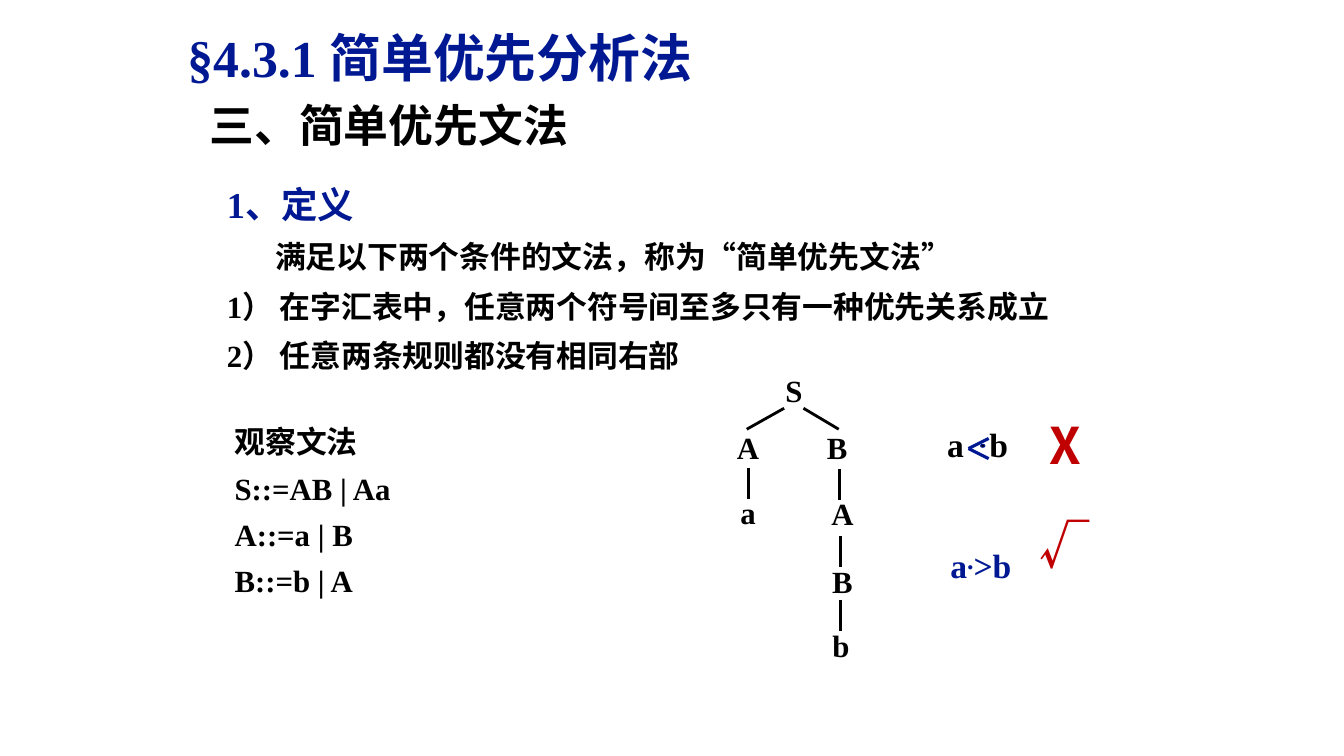
from pptx import Presentation
from pptx.dml.color import RGBColor as RGB
from pptx.enum.shapes import MSO_CONNECTOR as CONN, MSO_SHAPE as SHAPE
from pptx.enum.text import MSO_ANCHOR as ANCHOR, MSO_AUTO_SIZE as FIT, PP_ALIGN as ALIGN
from pptx.oxml.ns import qn
from pptx.util import Inches, Pt
from lxml.etree import SubElement

NAVY = RGB(0x01, 0x18, 0x93)
BLACK = RGB(0, 0, 0)
RED = RGB(0xC0, 0, 0)
SERIF, SANS = "Times New Roman", "Noto Sans CJK SC"
COLS, ROWS = 32, 18


class Slide:
    """Style and current slide; lengths are columns and rows of a 32 x 18 grid."""

    def __init__(self, prs):
        self.w, self.h = prs.slide_width / COLS, prs.slide_height / ROWS
        self.s = prs.slides.add_slide(prs.slide_layouts[1])
        self.shapes = self.s.shapes

    def box(self, x, y, w, h):
        return round(x * self.w), round(y * self.h), round(w * self.w), round(h * self.h)

    def fill_text(self, sp, paras, anchor=ANCHOR.TOP, wrap=True, **para_fmt):
        """Each paragraph is a pair: list of (text, font values), first-line indent."""
        tf = sp.text_frame
        for name, value in dict(word_wrap=wrap, auto_size=FIT.NONE, vertical_anchor=anchor).items():
            setattr(tf, name, value)
        for i, (runs, indent) in enumerate(paras):
            p = tf.paragraphs[0] if i == 0 else tf.add_paragraph()
            pPr = p._p.get_or_add_pPr()
            pPr.set("marL", "0")
            pPr.set("indent", str(Inches(indent)))
            SubElement(pPr, qn("a:buNone"))
            for name, value in dict(dict(space_before=Pt(0), alignment=ALIGN.LEFT), **para_fmt).items():
                setattr(p, name, value)
            for text, fmt in runs:
                self.run(p, text, **fmt)

    def run(self, p, text, raised=0, **fmt):
        r = p.add_run()
        r.text = text
        style = dict(name=SERIF, size=22, bold=True, color=BLACK)
        style.update(fmt)
        r.font.color.rgb = style.pop("color")
        style["size"] = Pt(style["size"])
        for name, value in style.items():
            setattr(r.font, name, value)
        rPr = r._r.get_or_add_rPr()
        SubElement(rPr, qn("a:ea")).set("typeface", SANS)
        if raised:
            rPr.set("baseline", str(raised * 1000))

    def placeholder(self, sp, at, paras, **fmt):
        sp.left, sp.top, sp.width, sp.height = self.box(*at)
        self.fill_text(sp, paras, **fmt)

    def text(self, at, paras, **fmt):
        self.fill_text(self.shapes.add_textbox(*self.box(*at)), paras, **fmt)

    def label(self, text, x, y, **fmt):
        """One short word centred on a grid point."""
        w, h = 1.3, 1.2
        self.text((x - w / 2, y - h / 2, w, h), [([(text, fmt)], 0)],
                  anchor=ANCHOR.MIDDLE, wrap=False, alignment=ALIGN.CENTER)

    def line(self, x1, y1, x2, y2, color=BLACK, width=2):
        x1, y1, x2, y2 = self.box(x1, y1, x2, y2)
        c = self.shapes.add_connector(CONN.STRAIGHT, x1, y1, x2, y2)
        c.line.color.rgb, c.line.width = color, Pt(width)
        SubElement(c._element.spPr, qn("a:effectLst"))

    def dot(self, x, y, w, h):
        sp = self.shapes.add_shape(SHAPE.OVAL, *self.box(x, y, w, h))
        sp.shadow.inherit = False
        sp.fill.solid()
        sp.fill.fore_color.rgb = BLACK
        sp.line.color.rgb, sp.line.width = NAVY, Pt(0.75)


def main():
    prs = Presentation()
    prs.slide_width, prs.slide_height = Inches(13.33), Inches(7.5)
    sl = Slide(prs)

    # Headings
    sl.placeholder(sl.shapes.title, (4.22, 0.17, 23.2, 2.06),
                   [([("§4.3.1 简单优先分析法", dict(size=37, color=NAVY))], 0)],
                   anchor=ANCHOR.MIDDLE, line_spacing=1.2)
    sl.text((4.75, 1.56, 9.05, 2.16), [([("三、简单优先文法", dict(size=32))], 0)],
            wrap=False, line_spacing=1.5)

    # Definition
    sl.placeholder(sl.s.placeholders[1], (5.16, 3.86, 22.32, 5.18), [
        ([("1、定义", dict(size=26, color=NAVY))], 0),
        ([("满足以下两个条件的文法，称为“简单优先文法”", {})], 0.48),
        ([("1） 在字汇表中，任意两个符号间至多只有一种优先关系成立", {})], 0),
        ([("2） 任意两条规则都没有相同右部", {})], 0),
    ], line_spacing=1.34, alignment=ALIGN.JUSTIFY)

    # Sample grammar
    rules = ["观察文法", "S::=AB | Aa", "A::=a | B", "B::=b | A"]
    sl.text((5.35, 9.74, 4.82, 4.63), [([(rule, {})], 0) for rule in rules],
            line_spacing=1.25, alignment=ALIGN.JUSTIFY)

    # Syntax tree: nodes, then branches
    for node, x, y in [("S", 18.9, 9.28), ("A", 17.81, 10.64), ("B", 19.93, 10.64),
                       ("a", 17.81, 12.2), ("A", 20.06, 12.23), ("B", 20.06, 13.84),
                       ("b", 20.02, 15.37)]:
        sl.label(node, x, y)
    sl.line(18.67, 9.72, 17.78, 10.22)
    sl.line(19.13, 9.72, 19.97, 10.22)
    for x, y in [(17.83, 11.14), (19.99, 11.16), (20.02, 12.77), (20.02, 14.28)]:
        sl.line(x, y, x, y + 0.74)

    # Relations between a and b, with verdicts
    sl.label("a", 22.75, 10.58, size=24)
    sl.label("b", 23.78, 10.58, size=24)
    for y in (10.44, 10.92):
        sl.line(23.06, 10.68, 23.54, y, NAVY, 2.25)
    sl.dot(23.35, 10.58, 0.1, 0.07)
    navy = dict(size=24, color=NAVY)
    sl.text((22.39, 12.58, 2.09, 1.2),
            [([("a", navy), (".", dict(navy, size=32, raised=20)), (">b", navy)], 0)])
    for mark, y in [("X", 10.58), ("√", 12.96)]:
        sl.label(mark, 25.36, y, name=SANS, size=36, color=RED)

    prs.save("out.pptx")


if __name__ == "__main__":
    main()
